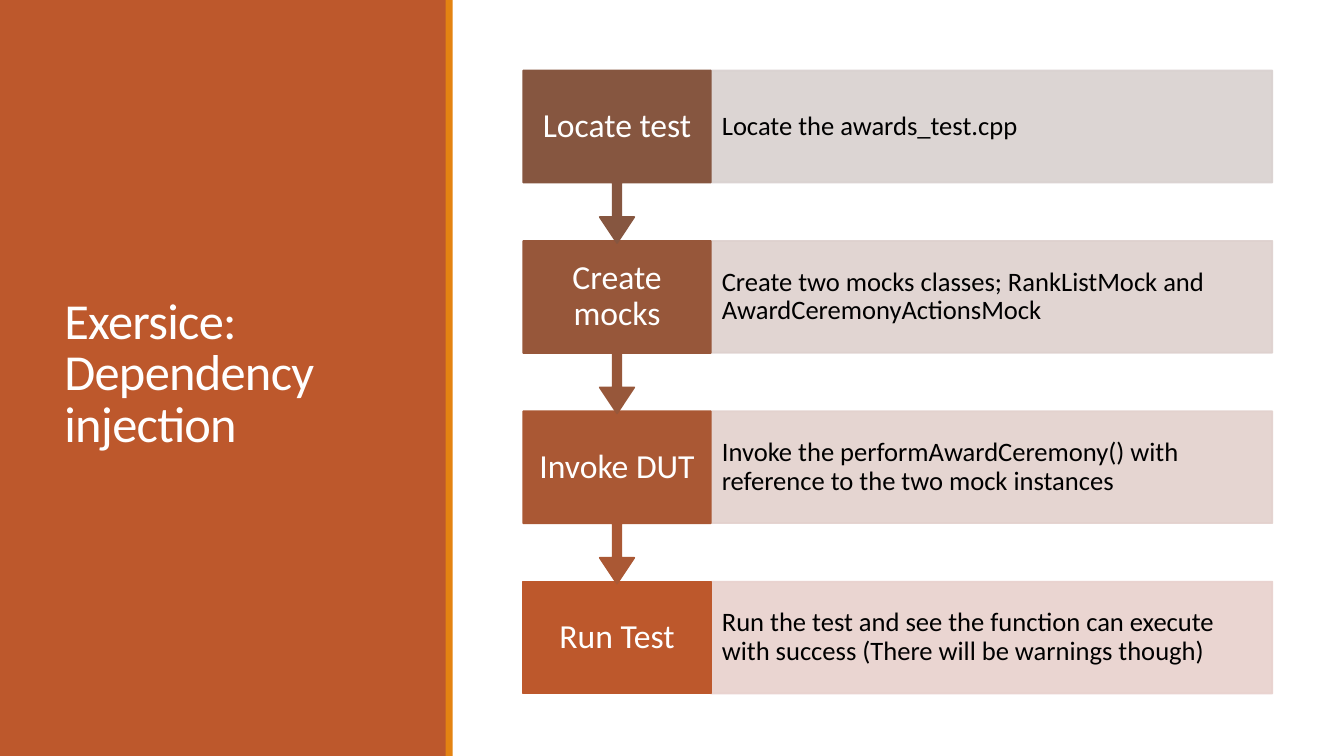
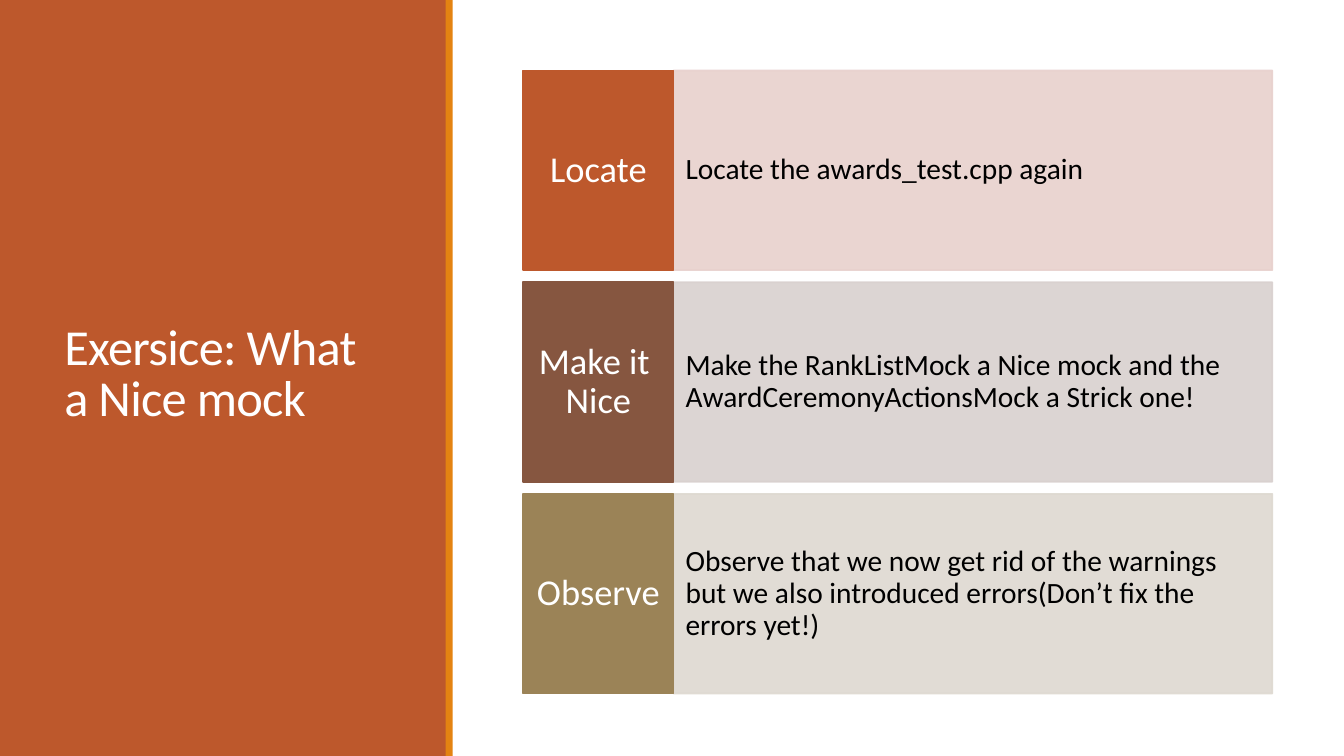
from dataclasses import dataclass
from lxml import etree
from pptx import Presentation
from pptx.dml.color import RGBColor
from pptx.enum.shapes import MSO_SHAPE
from pptx.enum.text import MSO_ANCHOR, PP_ALIGN
from pptx.oxml.ns import qn
from pptx.util import Inches, Pt

RECT, CALLOUT = MSO_SHAPE.RECTANGLE, MSO_SHAPE.DOWN_ARROW_CALLOUT
MIDDLE, LEFT, CENTER = MSO_ANCHOR.MIDDLE, PP_ALIGN.LEFT, PP_ALIGN.CENTER


@dataclass(frozen=True)
class Theme:
    """Colours, font and sizes that the slides share."""
    rust: str = "BD582C"
    amber: str = "E48312"
    white: str = "FFFFFF"
    black: str = "000000"
    font: str = "Calibri"
    title: int = 36
    edge: float = 1.25
    alpha: int = 90000


theme = Theme()


def add_block(slide, kind, box, fill, line=False, clear=False):
    """Add a filled shape, with an edge or transparency if asked."""
    shape = slide.shapes.add_shape(kind, *map(Inches, box))
    shape.shadow.inherit = False
    shape.fill.solid()
    shape.fill.fore_color.rgb = RGBColor.from_string(fill)
    if line:
        shape.line.color.rgb = RGBColor.from_string(fill)
        shape.line.width = Pt(theme.edge)
    else:
        shape.line.fill.background()
    if clear:
        for color in shape._element.spPr.iter(qn("a:srgbClr")):
            etree.SubElement(color, qn("a:alpha"), val=str(theme.alpha))
    return shape


def set_text(shape, text, size, color, align, inset, space=0.9):
    """Write one paragraph, centred from top to bottom."""
    frame = shape.text_frame
    side, top = map(Inches, inset)
    form = {"word_wrap": True, "vertical_anchor": MIDDLE,
            "margin_left": side, "margin_right": side,
            "margin_top": top, "margin_bottom": top}
    for name, value in form.items():
        setattr(frame, name, value)
    para = frame.paragraphs[0]
    para.alignment, para.line_spacing = align, space
    run = para.add_run()
    run.text = text
    run.font.name, run.font.size = theme.font, Pt(size)
    run.font.color.rgb = RGBColor.from_string(color)
    return run


# Each step: label, detail, label fill, detail fill
decks = [
    {"title": "Exersice: Dependency injection",
     "flow": True, "pitch": 1.69, "height": 1.11, "width": 1.86,
     "label": 24, "detail": 19,
     "label_in": (0.13, 0.19), "detail_in": (0.11, 0.26),
     "steps": [
         ("Locate test", "Locate the awards_test.cpp", "865640", "D9D1CF"),
         ("Create mocks",
          "Create two mocks classes; RankListMock and AwardCeremonyActionsMock",
          "97573A", "DED1CE"),
         ("Invoke DUT",
          "Invoke the performAwardCeremony() with reference to the two mock instances",
          "AA5834", "E3D1CD"),
         ("Run Test",
          "Run the test and see the function can execute with success "
          "(There will be warnings though)", theme.rust, "E8D1CD")]},
    {"title": "Exersice: What a Nice mock",
     "flow": False, "pitch": 2.1, "height": 1.98, "width": 1.49,
     "label": 26, "detail": 21,
     "label_in": (0.08, 0.2), "detail_in": (0.12, 0.5),
     "steps": [
         ("Locate", "Locate the awards_test.cpp again", theme.rust, "E8D1CD"),
         ("Make it  Nice",
          "Make the RankListMock a Nice mock and the AwardCeremonyActionsMock "
          "a Strick one!", "865640", "D9D1CF"),
         ("Observe",
          "Observe that we now get rid of the warnings but we also introduced "
          "errors(Don’t fix the errors yet!)", "9B8357", "DED9D1")]},
]
start, end, first = 5.19, 12.62, 0.7
arrow = {"height": 1.71, "adjust": (0.05, 0.1, 0.15, 0.65)}

prs = Presentation()
prs.slide_width, prs.slide_height = Inches(13.33), Inches(7.5)

for deck in decks:
    slide = prs.slides.add_slide(prs.slide_layouts[6])
    add_block(slide, RECT, (0, 0, 4.43, 7.5), theme.rust)
    head = slide.shapes.add_textbox(*map(Inches, (0.54, 0.57, 3.37, 6.31)))
    run = set_text(head, deck["title"], theme.title, theme.white, LEFT,
                   (0.1, 0.05), 0.85)
    run.font._element.set("spc", "-50")
    add_block(slide, RECT, (4.42, 0, 0.07, 7.5), theme.amber)

    split = start + deck["width"]
    last = len(deck["steps"]) - 1
    # Work upwards so that each arrow tip lies over the step below
    for row in range(last, -1, -1):
        label, detail, dark, pale = deck["steps"][row]
        top = first + row * deck["pitch"]
        card = add_block(slide, RECT, (split, top, end - split, deck["height"]),
                         pale, line=True, clear=True)
        set_text(card, detail, deck["detail"], theme.black, LEFT,
                 deck["detail_in"])
        points = deck["flow"] and row < last
        height = arrow["height"] if points else deck["height"]
        tile = add_block(slide, CALLOUT if points else RECT,
                         (start, top, deck["width"], height), dark, line=True)
        if points:
            for spot, value in enumerate(arrow["adjust"]):
                tile.adjustments[spot] = value
        set_text(tile, label, deck["label"], theme.white, CENTER,
                 deck["label_in"])

prs.save("out.pptx")
